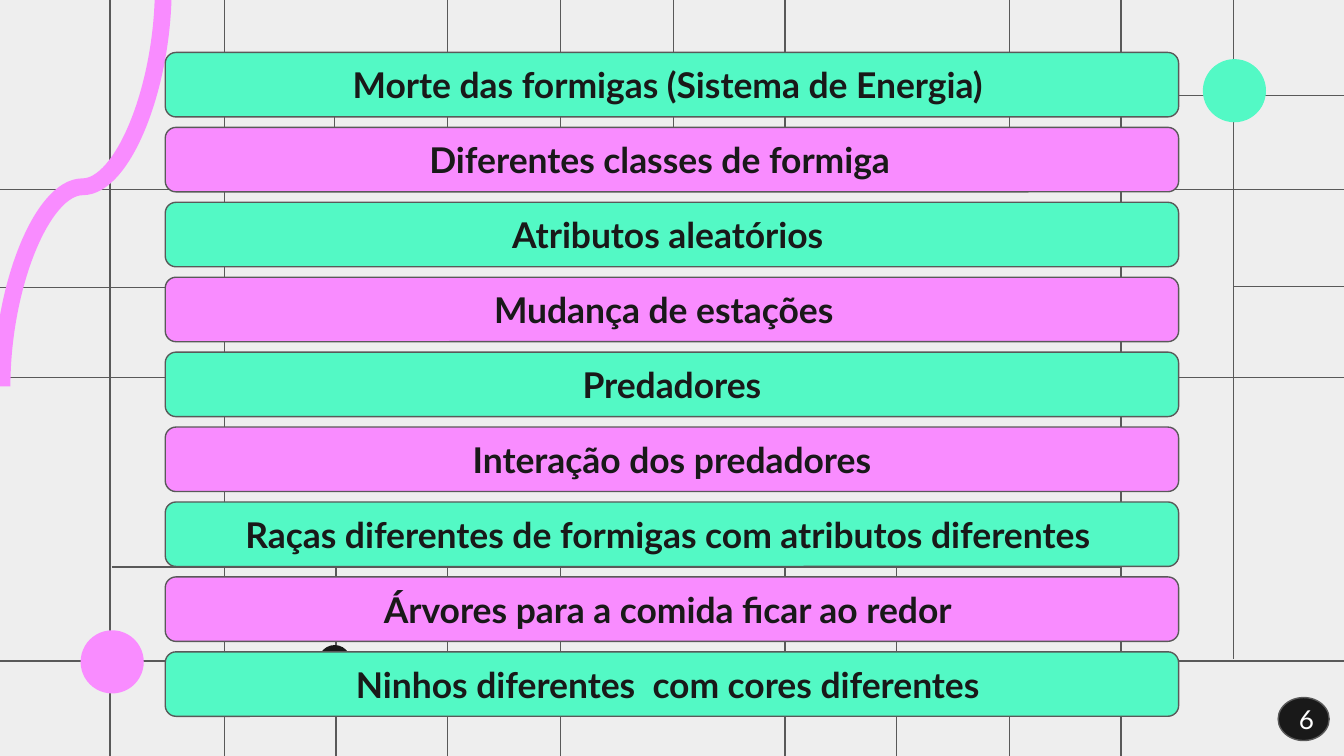
"""Build the slide of planned simulation features over a grid background."""
from dataclasses import dataclass

import pptx
import pptx.dml.color
import pptx.enum.shapes
import pptx.enum.text
import pptx.oxml
import pptx.oxml.ns
import pptx.util
from pptx.shapes.autoshape import Shape
from pptx.shapes.connector import Connector
from pptx.slide import Slide
from pptx.util import Inches

SHAPES = pptx.enum.shapes.MSO_SHAPE
CONNECTORS = pptx.enum.shapes.MSO_CONNECTOR


@dataclass(frozen=True)
class Theme:
    background: str = "EEEEEE"
    grid: str = "595959"
    ink: str = "191919"
    white: str = "FFFFFF"
    mint: str = "53F9C5"
    pink: str = "F98CFF"
    font: str = "Lato"
    bar_size: float = 19
    number_size: float = 14
    thin: float = 0.75
    thick: float = 9


@dataclass(frozen=True)
class Box:
    left: float
    top: float
    width: float
    height: float


@dataclass(frozen=True)
class GridLine:
    position: float
    start: float
    end: float


@dataclass(frozen=True)
class Dot:
    box: Box
    color: str


@dataclass(frozen=True)
class Feature:
    text: str
    right_shift: float = 0


THEME = Theme()
WIDTH = 10
HEIGHT = WIDTH * 9 / 16
INSET = 0.1
FIRST_BAR = Box(1.23, 0.39, 7.54, 0.48)
LAST_BAR_TOP = 4.85

VERTICALS = [
    GridLine(0.82, 0, HEIGHT),
    GridLine(1.67, 0, HEIGHT),
    GridLine(2.49, 0.71, 1.39),
    GridLine(2.5, 4.23, HEIGHT),
    GridLine(7.51, 4.93, HEIGHT),
    GridLine(6.67, 4.23, HEIGHT),
    GridLine(8.34, 0, HEIGHT),
    GridLine(9.18, 0, 4.9),
    *(GridLine(x, 0, 1.41) for x in (3.33, 4.17, 5.01, 5.84, 7.51)),
    *(GridLine(x, 4.22, HEIGHT) for x in (3.33, 4.17, 5.84)),
]
HORIZONTALS = [
    GridLine(0.71, 7.51, WIDTH),
    GridLine(1.41, 0, WIDTH),
    GridLine(2.13, 9.18, WIDTH),
    GridLine(2.14, 0, 1.67),
    GridLine(2.81, 0, 1.67),
    GridLine(2.81, 8.36, WIDTH),
    GridLine(4.22, 0.83, 8.35),
    GridLine(4.92, 0, 4.17),
    GridLine(4.92, 5.84, WIDTH),
]
DOTS = [
    Dot(Box(2.37, 4.8, 0.24, 0.24), THEME.ink),
    Dot(Box(0.6, 4.69, 0.47, 0.47), THEME.pink),
    Dot(Box(8.95, 0.44, 0.47, 0.47), THEME.mint),
]
FEATURES = [
    Feature("Morte das formigas (Sistema de Energia)", 0.06),
    Feature("Diferentes classes de formiga", 0.18),
    Feature("Atributos aleatórios", 0.06),
    Feature("Mudança de estações", 0.12),
    Feature("Predadores"),
    Feature("Interação dos predadores"),
    Feature("Raças diferentes de formigas com atributos diferentes", 0.06),
    Feature("Árvores para a comida ficar ao redor", 0.06),
    Feature("Ninhos diferentes  com cores diferentes", 0.06),
]


def rgb(color: str) -> pptx.dml.color.RGBColor:
    """Return a colour object for a hexadecimal colour."""
    return pptx.dml.color.RGBColor.from_string(color)


def add_line(slide: Slide, kind: CONNECTORS, start: tuple[float, float],
             end: tuple[float, float], color: str, width: float) -> Connector:
    """Draw a connector without a shadow."""
    connector = slide.shapes.add_connector(
        kind, *(Inches(value) for value in (*start, *end)))
    connector.line.color.rgb = rgb(color)
    connector.line.width = pptx.util.Pt(width)
    properties = connector._element.spPr
    properties.append(pptx.oxml.parse_xml(
        f"<a:effectLst {pptx.oxml.ns.nsdecls('a')}/>"))
    return connector


def add_filled(slide: Slide, kind: SHAPES, box: Box, color: str,
               outlined: bool = False) -> Shape:
    """Draw a filled shape, outlined or not."""
    shape = slide.shapes.add_shape(
        kind, Inches(box.left), Inches(box.top), Inches(box.width), Inches(box.height))
    shape.shadow.inherit = False
    shape.fill.solid()
    shape.fill.fore_color.rgb = rgb(color)
    if outlined:
        shape.line.color.rgb = rgb(THEME.grid)
        shape.line.width = pptx.util.Pt(THEME.thin)
    else:
        shape.line.fill.background()
    return shape


def set_label(shape: Shape, text: str, size: float, color: str,
              bold: bool = False, right_shift: float = 0) -> None:
    """Write a centred label into a shape."""
    frame = shape.text_frame
    frame.text = text
    frame.word_wrap = True
    frame.vertical_anchor = pptx.enum.text.MSO_ANCHOR.MIDDLE
    frame.margin_left = frame.margin_top = frame.margin_bottom = Inches(INSET)
    frame.margin_right = Inches(INSET + right_shift)
    paragraph = frame.paragraphs[0]
    paragraph.alignment = pptx.enum.text.PP_ALIGN.CENTER
    font = paragraph.runs[0].font
    font.name = THEME.font
    font.size = pptx.util.Pt(size)
    font.bold = bold
    font.color.rgb = rgb(color)


def draw_background(slide: Slide) -> None:
    """Draw the grid, the ribbon and the dots."""
    slide.background.fill.solid()
    slide.background.fill.fore_color.rgb = rgb(THEME.background)
    for line in VERTICALS:
        add_line(slide, CONNECTORS.STRAIGHT, (line.position, line.start),
                 (line.position, line.end), THEME.grid, THEME.thin)
    for line in HORIZONTALS:
        add_line(slide, CONNECTORS.STRAIGHT, (line.start, line.position),
                 (line.end, line.position), THEME.grid, THEME.thin)
    ribbon = add_line(slide, CONNECTORS.CURVE, (-0.87, 0.79), (2.1, 1.99),
                      THEME.pink, THEME.thick)
    ribbon._element.spPr.find(pptx.oxml.ns.qn("a:xfrm")).set("rot", str(90 * 60000))
    for dot in DOTS:
        add_filled(slide, SHAPES.OVAL, dot.box, dot.color)


def draw_features(slide: Slide) -> None:
    """Stack the feature bars in alternating colours."""
    pitch = (LAST_BAR_TOP - FIRST_BAR.top) / (len(FEATURES) - 1)
    for index, feature in enumerate(FEATURES):
        box = Box(FIRST_BAR.left, FIRST_BAR.top + index * pitch,
                  FIRST_BAR.width, FIRST_BAR.height)
        color = THEME.pink if index % 2 else THEME.mint
        bar = add_filled(slide, SHAPES.ROUNDED_RECTANGLE, box, color, outlined=True)
        set_label(bar, feature.text, THEME.bar_size, THEME.ink, True, feature.right_shift)


def main() -> None:
    """Build and save the presentation."""
    presentation = pptx.Presentation()
    presentation.slide_width, presentation.slide_height = Inches(WIDTH), Inches(HEIGHT)
    slide = presentation.slides.add_slide(presentation.slide_layouts[6])
    draw_background(slide)
    draw_features(slide)
    badge = add_filled(slide, SHAPES.OVAL, Box(9.51, 5.19, 0.38, 0.32), THEME.ink, True)
    set_label(badge, "6", THEME.number_size, THEME.white)
    presentation.save("out.pptx")


if __name__ == "__main__":
    main()
